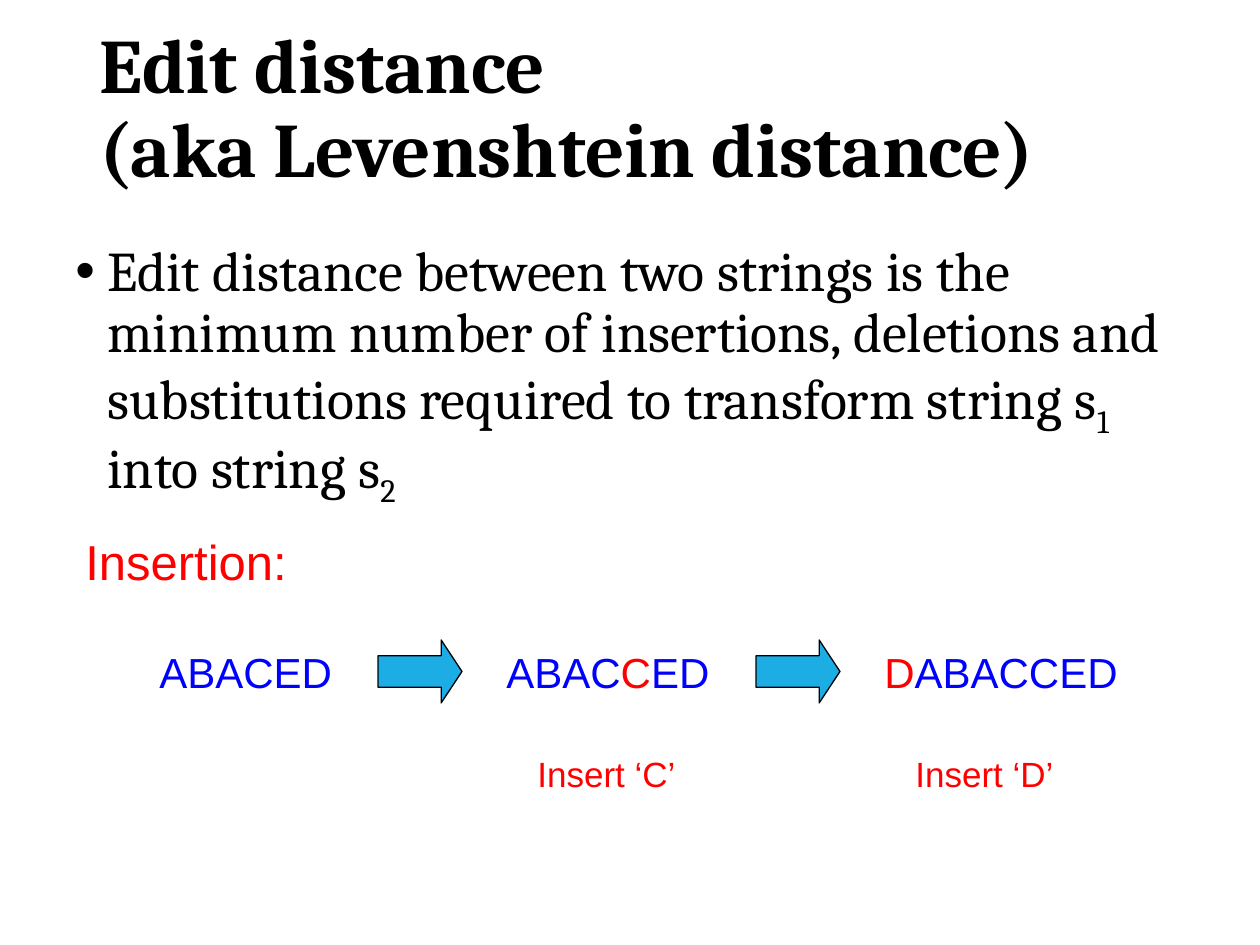
from dataclasses import dataclass

import pptx
import pptx.dml.color
import pptx.enum.shapes
import pptx.enum.text
import pptx.oxml
import pptx.oxml.ns
import pptx.util

EMU_PER_PX = 914400 / 126


@dataclass(frozen=True)
class Theme:
    serif: str = "Cambria"
    sans: str = "Arial"
    black: str = "000000"
    red: str = "FF0000"
    blue: str = "0000FF"
    arrow: str = "1CADE4"
    title: int = 44
    body: int = 32
    heading: int = 28
    word: int = 24
    caption: int = 20


@dataclass(frozen=True)
class Run:
    text: str
    color: str
    subscript: bool = False


@dataclass(frozen=True)
class Box:
    left: int
    top: int
    width: int
    height: int

    def emu(self) -> list[pptx.util.Emu]:
        return [px(n) for n in (self.left, self.top, self.width, self.height)]


@dataclass(frozen=True)
class Step:
    """A word in the edit sequence, with the edit that produced it."""
    left: int
    width: int
    runs: list[Run]
    caption: str = ""


THEME = Theme()


def px(n: int) -> pptx.util.Emu:
    return pptx.util.Emu(round(n * EMU_PER_PX))


def rgb(color: str) -> pptx.dml.color.RGBColor:
    return pptx.dml.color.RGBColor.from_string(color)


def add_text(slide, box: Box, runs: list[Run], size: int,
             font: str = THEME.sans, bold: bool = False):
    """Add a one-paragraph text box; a newline in a run is a line break."""
    tf = slide.shapes.add_textbox(*box.emu()).text_frame
    tf.word_wrap = True
    p = tf.paragraphs[0]
    for run in runs:
        for i, line in enumerate(run.text.split("\n")):
            if i:
                p.add_line_break()
            r = p.add_run()
            r.text = line
            r.font.name = font
            r.font.size = pptx.util.Pt(size)
            r.font.bold = bold
            r.font.color.rgb = rgb(run.color)
            if run.subscript:
                r.font._element.set("baseline", "-25000")
    return tf


def add_bullet(p, indent: int) -> None:
    pPr = p._p.get_or_add_pPr()
    pPr.set("marL", str(px(indent)))
    pPr.set("indent", str(-px(indent)))
    ns = pptx.oxml.ns.nsdecls("a")
    for xml in (f'<a:buFont {ns} typeface="Arial"/>', f'<a:buChar {ns} char="•"/>'):
        pPr.append(pptx.oxml.parse_xml(xml))


def add_arrow(slide, box: Box) -> None:
    kind = pptx.enum.shapes.MSO_SHAPE.RIGHT_ARROW
    sp = slide.shapes.add_shape(kind, *box.emu())
    sp.adjustments[1] = 0.33
    sp.shadow.inherit = False
    sp.fill.solid()
    sp.fill.fore_color.rgb = rgb(THEME.arrow)
    sp.line.color.rgb = rgb(THEME.black)
    sp.line.width = pptx.util.Pt(0.75)


def main() -> None:
    t = THEME
    prs = pptx.Presentation()
    prs.slide_width, prs.slide_height = px(1260), px(945)
    s = prs.slides.add_slide(prs.slide_layouts[6])

    # Title
    title = [Run("Edit distance \n(aka Levenshtein distance)", t.black)]
    tf = add_text(s, Box(87, 19, 1086, 183), title, t.title, t.serif, bold=True)
    tf.vertical_anchor = pptx.enum.text.MSO_ANCHOR.MIDDLE
    tf.paragraphs[0].line_spacing = 0.9

    # Definition
    definition = [
        Run("Edit distance between two strings is the minimum number of "
            "insertions, deletions and substitutions required to transform "
            "string s", t.black),
        Run("1 ", t.black, subscript=True),
        Run("into string s", t.black),
        Run("2", t.black, subscript=True),
    ]
    tf = add_text(s, Box(63, 237, 1134, 289), definition, t.body, t.serif)
    p = tf.paragraphs[0]
    p.line_spacing = 0.9
    p.space_before = pptx.util.Pt(10)
    add_bullet(p, 32)

    # Example heading
    add_text(s, Box(73, 525, 231, 72), [Run("Insertion:", t.red)], t.heading)

    # Edit sequence: each later word has an arrow before it and a caption below
    steps = [
        Step(147, 199, [Run("ABACED", t.blue)]),
        Step(494, 242, [Run("ABAC", t.blue), Run("C", t.red), Run("ED", t.blue)],
             "Insert ‘C’"),
        Step(872, 284, [Run("D", t.red), Run("ABACCED", t.blue)], "Insert ‘D’"),
    ]
    for step in steps:
        add_text(s, Box(step.left, 640, step.width, 63), step.runs, t.word)
        if step.caption:
            add_arrow(s, Box(step.left - 116, 640, 84, 63))
            add_text(s, Box(step.left + 31, 746, 179, 54),
                     [Run(step.caption, t.red)], t.caption)

    prs.save("out.pptx")


if __name__ == "__main__":
    main()
